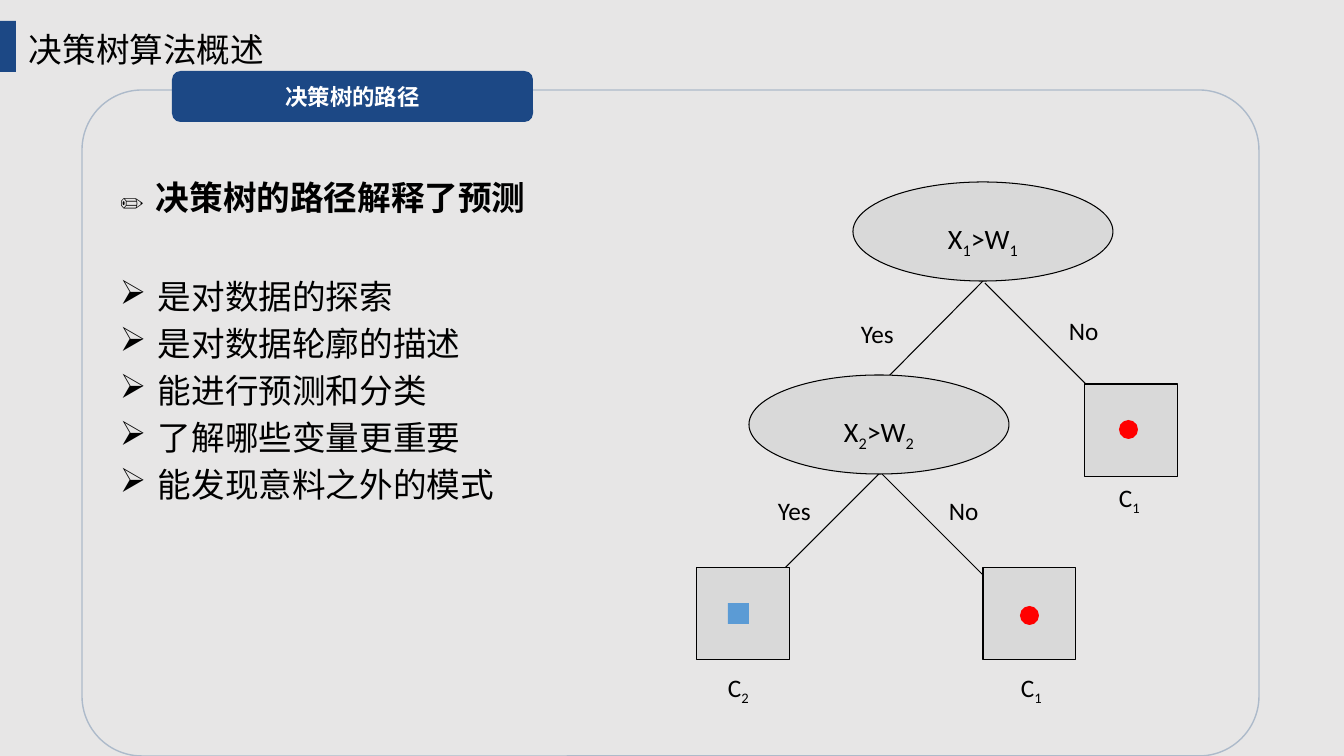
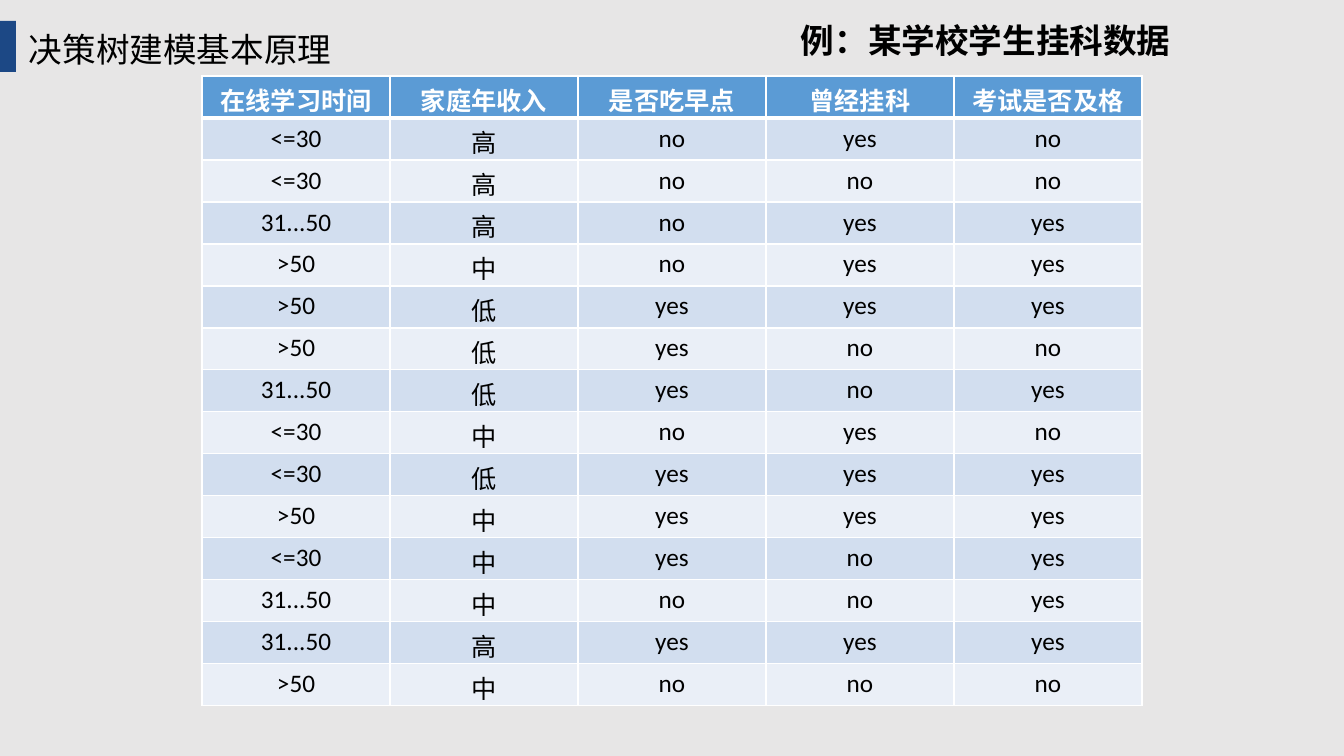
import pptx
import pptx.util
from lxml import etree
from pptx.dml.color import RGBColor
from pptx.enum.shapes import MSO_CONNECTOR, MSO_SHAPE
from pptx.enum.text import MSO_ANCHOR, PP_ALIGN
from pptx.oxml.ns import qn

SCALE = 914400 / 100.8
SLIDE_SIZE = (1344, 756)

BACKGROUND = RGBColor(0xE7, 0xE6, 0xE6)
NAVY = RGBColor(0x1C, 0x48, 0x85)
FRAME_LINE = RGBColor(0xAD, 0xBA, 0xCA)
NODE_FILL = RGBColor(0xD9, 0xD9, 0xD9)
RED = RGBColor(0xFF, 0x00, 0x00)
BLUE = RGBColor(0x5B, 0x9B, 0xD5)
BANDS = (RGBColor(0xD2, 0xDE, 0xEF), RGBColor(0xEA, 0xEF, 0xF7))
BLACK = RGBColor(0x00, 0x00, 0x00)
WHITE = RGBColor(0xFF, 0xFF, 0xFF)

BODY_FONT = "Calibri"
HEADING_FONT = "Arial"
CHINESE_FONT = "Noto Sans CJK SC"

PATH_TITLE = "决策树算法概述"
PATH_BADGE = "决策树的路径"
PATH_HEADING = "决策树的路径解释了预测"
PATH_POINTS = [
    "是对数据的探索",
    "是对数据轮廓的描述",
    "能进行预测和分类",
    "了解哪些变量更重要",
    "能发现意料之外的模式",
]

# Decisions: left, top, index of the tested variable
DECISION_SIZE = (260, 99)
DECISIONS = [(853, 182, "1"), (749, 375, "2")]
# Branches: start, end, answer, left and top of the answer
BRANCHES = [
    ((983, 281), (886, 379), "Yes", (851, 313)),
    ((985, 283), (1086, 384), "No", (1059, 310)),
    ((881, 472), (783, 570), "Yes", (768, 490)),
    ((882, 474), (983, 575), "No", (939, 490)),
]
# Leaves: left and top of the box, of the mark and of the label, class index
LEAF_SIDE = 93
LEAVES = [
    ((1085, 384), (1119, 420), (1109, 477), "1"),
    ((697, 567), (728, 603), (718, 667), "2"),
    ((983, 567), (1020, 606), (1011, 667), "1"),
]
CLASS_MARKS = {"1": (MSO_SHAPE.OVAL, 19, RED), "2": (MSO_SHAPE.RECTANGLE, 21, BLUE)}
LABEL_SIZE = (54, 40)

DATA_TITLE = "决策树建模基本原理"
DATA_HEADING = "例：某学校学生挂科数据"
DATA_HEADER = ("在线学习时间", "家庭年收入", "是否吃早点", "曾经挂科", "考试是否及格")
DATA_ROWS = [
    ("<=30", "高", "no", "yes", "no"),
    ("<=30", "高", "no", "no", "no"),
    ("31...50", "高", "no", "yes", "yes"),
    (">50", "中", "no", "yes", "yes"),
    (">50", "低", "yes", "yes", "yes"),
    (">50", "低", "yes", "no", "no"),
    ("31...50", "低", "yes", "no", "yes"),
    ("<=30", "中", "no", "yes", "no"),
    ("<=30", "低", "yes", "yes", "yes"),
    (">50", "中", "yes", "yes", "yes"),
    ("<=30", "中", "yes", "no", "yes"),
    ("31...50", "中", "no", "no", "yes"),
    ("31...50", "高", "yes", "yes", "yes"),
    (">50", "中", "no", "no", "no"),
]
TABLE_ORIGIN = (202, 76)
COLUMN_WIDTH, ROW_HEIGHT = 188, 42


def px(length):
    return pptx.util.Emu(round(length * SCALE))


def add_run(paragraph, text, size, font=BODY_FONT, color=BLACK, bold=False, subscript=False):
    run = paragraph.add_run()
    run.text = text
    run.font.size = pptx.util.Pt(size)
    run.font.name = font
    run.font.bold = bold
    run.font.color.rgb = color
    if subscript:
        run._r.get_or_add_rPr().set("baseline", "-25000")


def add_text(slide, box, text="", size=24, wrap=True, **style):
    """Add a text box and return its first paragraph."""
    frame = slide.shapes.add_textbox(*map(px, box)).text_frame
    frame.word_wrap = wrap
    paragraph = frame.paragraphs[0]
    if text:
        add_run(paragraph, text, size, **style)
    return paragraph


def add_shape(slide, kind, box, fill=None, line=None, width=0.75):
    shape = slide.shapes.add_shape(kind, *map(px, box))
    shape.shadow.inherit = False
    if fill is None:
        shape.fill.background()
    else:
        shape.fill.solid()
        shape.fill.fore_color.rgb = fill
    if line is None:
        shape.line.fill.background()
    else:
        shape.line.color.rgb = line
        shape.line.width = pptx.util.Pt(width)
    return shape


def add_line(slide, start, end):
    connector = slide.shapes.add_connector(MSO_CONNECTOR.STRAIGHT, *map(px, start + end))
    connector.line.color.rgb = BLACK
    connector.line.width = pptx.util.Pt(0.75)
    etree.SubElement(connector._element.spPr, qn("a:effectLst"))


def add_titled_slide(presentation, title):
    slide = presentation.slides.add_slide(presentation.slide_layouts[6])
    slide.background.fill.solid()
    slide.background.fill.fore_color.rgb = BACKGROUND
    add_text(slide, (19, 24, 350, 50), title)
    add_shape(slide, MSO_SHAPE.RECTANGLE, (0, 21, 16, 51), NAVY)
    return slide


def add_bullet(paragraph, symbol):
    properties = paragraph._p.get_or_add_pPr()
    indent = px(38)
    properties.set("marL", str(indent))
    properties.set("indent", str(-indent))
    etree.SubElement(properties, qn("a:buChar"), char=symbol)


def add_points(slide):
    add_text(slide, (110, 182, 46, 40), "✏", 18, wrap=False, font=HEADING_FONT)
    add_text(slide, (146, 172, 560, 50), PATH_HEADING, font=HEADING_FONT, bold=True)
    paragraph = add_text(slide, (110, 271, 513, 246))
    frame = paragraph._parent
    for index, point in enumerate(PATH_POINTS):
        if index:
            paragraph = frame.add_paragraph()
            paragraph.space_before = pptx.util.Pt(4.8)
        add_bullet(paragraph, "➢")
        add_run(paragraph, point, 24, CHINESE_FONT)


def add_tree(slide):
    for start, end, answer, place in BRANCHES:
        add_line(slide, start, end)
        add_text(slide, place + LABEL_SIZE, answer, 18)
    for left, top, index in DECISIONS:
        node = add_shape(slide, MSO_SHAPE.OVAL, (left, top) + DECISION_SIZE, NODE_FILL, BLACK)
        node.text_frame.vertical_anchor = MSO_ANCHOR.MIDDLE
        paragraph = node.text_frame.paragraphs[0]
        paragraph.alignment = PP_ALIGN.CENTER
        paragraph.line_spacing = 1.5
        for text in ("X", ">W"):
            add_run(paragraph, text, 20)
            add_run(paragraph, index, 20, subscript=True)
    for box_place, mark_place, label_place, index in LEAVES:
        add_shape(slide, MSO_SHAPE.RECTANGLE, box_place + (LEAF_SIDE, LEAF_SIDE), NODE_FILL, BLACK)
        kind, side, color = CLASS_MARKS[index]
        add_shape(slide, kind, mark_place + (side, side), color)
        label = add_text(slide, label_place + LABEL_SIZE, "C", 18)
        add_run(label, index, 18, subscript=True)


def build_path_slide(presentation):
    slide = add_titled_slide(presentation, PATH_TITLE)
    frame = add_shape(slide, MSO_SHAPE.ROUNDED_RECTANGLE, (82, 90, 1177, 666), line=FRAME_LINE, width=1)
    frame.adjustments[0] = 0.09
    badge = add_shape(slide, MSO_SHAPE.ROUNDED_RECTANGLE, (172, 71, 361, 51), NAVY)
    badge.text_frame.vertical_anchor = MSO_ANCHOR.MIDDLE
    paragraph = badge.text_frame.paragraphs[0]
    paragraph.alignment = PP_ALIGN.CENTER
    add_run(paragraph, PATH_BADGE, 16, HEADING_FONT, WHITE, bold=True)
    add_points(slide)
    add_tree(slide)


def set_borders(cell, widths):
    """Draw white borders; widths maps a side (L, R, T, B) to points."""
    properties = cell._tc.get_or_add_tcPr()
    for side, width in widths.items():
        line = etree.SubElement(properties, qn(f"a:ln{side}"), w=str(pptx.util.Pt(width)))
        fill = etree.SubElement(line, qn("a:solidFill"))
        etree.SubElement(fill, qn("a:srgbClr"), val=str(WHITE))


def build_data_slide(presentation):
    slide = add_titled_slide(presentation, DATA_TITLE)
    add_text(slide, (791, 15, 498, 50), DATA_HEADING, bold=True)
    rows = [DATA_HEADER] + DATA_ROWS
    size = (COLUMN_WIDTH * len(DATA_HEADER), ROW_HEIGHT * len(rows))
    table = slide.shapes.add_table(len(rows), len(DATA_HEADER), *map(px, TABLE_ORIGIN + size)).table
    table.first_row = table.horz_banding = False
    for column in table.columns:
        column.width = px(COLUMN_WIDTH)
    for row_index, values in enumerate(rows):
        table.rows[row_index].height = px(ROW_HEIGHT)
        header = row_index == 0
        fill = BLUE if header else BANDS[(row_index - 1) % 2]
        widths = {"L": 1, "R": 1, "T": 3 if row_index == 1 else 1, "B": 3 if header else 1}
        for column_index, value in enumerate(values):
            cell = table.cell(row_index, column_index)
            set_borders(cell, widths)
            cell.fill.solid()
            cell.fill.fore_color.rgb = fill
            paragraph = cell.text_frame.paragraphs[0]
            paragraph.alignment = PP_ALIGN.CENTER
            add_run(paragraph, value, 18, color=WHITE if header else BLACK, bold=header)


def main():
    presentation = pptx.Presentation()
    presentation.slide_width, presentation.slide_height = map(px, SLIDE_SIZE)
    build_path_slide(presentation)
    build_data_slide(presentation)
    presentation.save("out.pptx")


if __name__ == "__main__":
    main()
